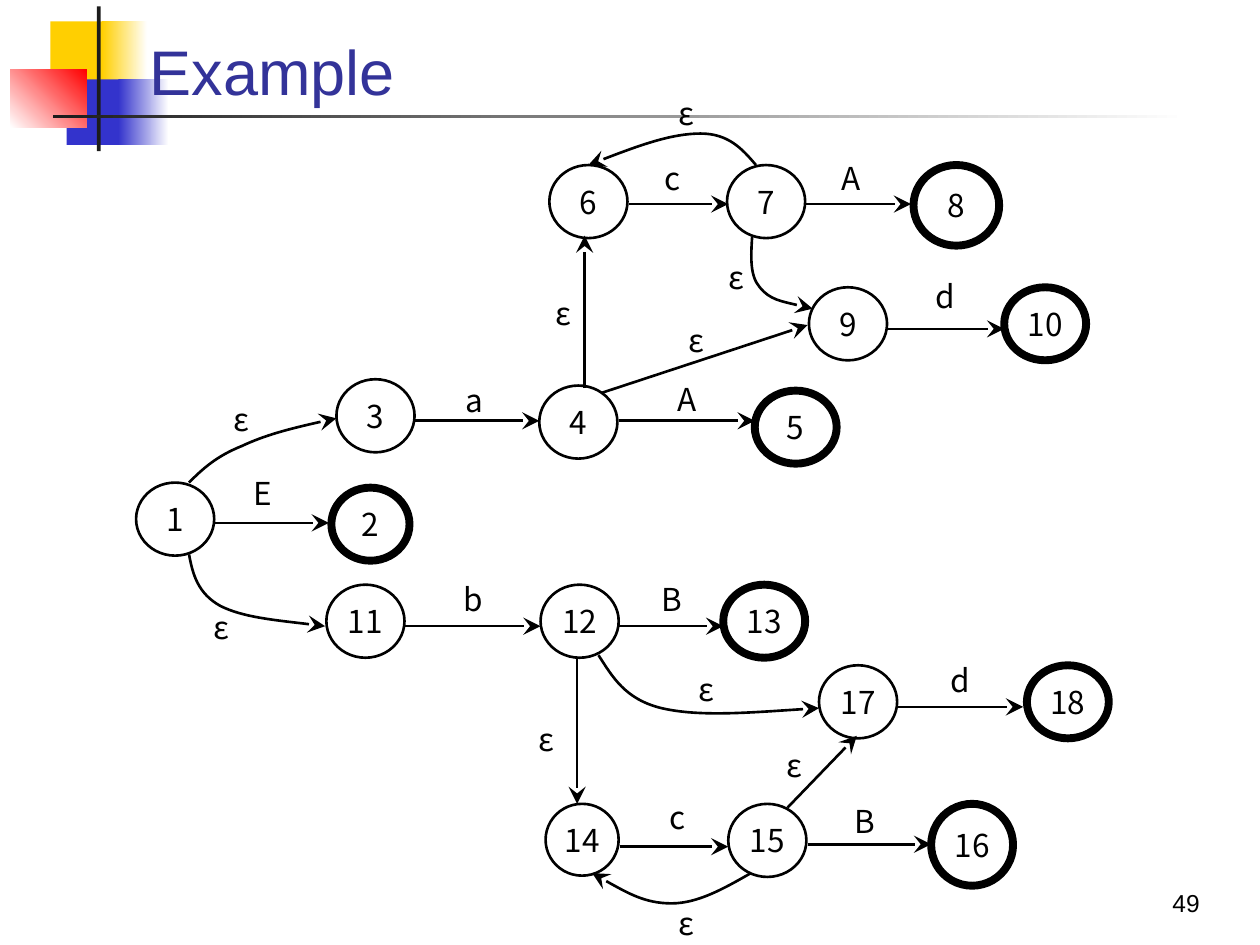
from pptx import Presentation
from pptx.dml.color import RGBColor
from pptx.enum import shapes, text
from pptx.oxml import parse_xml
from pptx.oxml.ns import nsdecls, qn
from pptx.util import Inches, Pt

THEME = {
    "yellow": "FFCF01", "blue": "3333CC", "red": "FF0000", "white": "FFFFFF",
    "dark": "1C1C1C", "title": "333399", "ink": "000000",
    "title_font": "Arial", "graph_font": "Noto Sans CJK SC",
    "title_size": 36, "graph_size": 18, "number_size": 14,
    "thin": 1.5, "thick": 4.5,
}

# Corner ornament: left, top, width, height, colours, gradient angle
ORNAMENT = [
    (0.4, 0.17, 0.48, 0.52, ["yellow"], 0),
    (0.81, 0.17, 0.36, 0.52, ["yellow", "white"], 0),
    (0.53, 0.63, 0.46, 0.52, ["blue"], 0),
    (0.94, 0.63, 0.4, 0.52, ["blue", "white"], 0),
    (0.08, 0.55, 0.61, 0.46, ["white", "red"], 45),
    (0.77, 0.05, 0.03, 1.15, ["dark"], 0),
    (0.42, 0.91, 9, 0.03, ["dark", "white"], 0),
]

# States: name, left, top
STATE_SIZE = (0.62, 0.58)
STATES = [
    ("6", 4.36, 1.31), ("7", 5.77, 1.31), ("9", 6.42, 2.28), ("4", 4.28, 3.06),
    ("3", 2.67, 3.01), ("1", 1.08, 3.83), ("11", 2.59, 4.64), ("12", 4.29, 4.64),
    ("14", 4.33, 6.38, 0.58, 0.57), ("15", 5.78, 6.38), ("17", 6.5, 5.28),
]
FINAL_SIZE = (0.65, 0.58)
FINAL_STATES = [
    ("8", 7.25, 1.31, 0.68, 0.64), ("10", 7.97, 2.28), ("5", 5.99, 3.1),
    ("2", 2.63, 3.87, 0.62, 0.58), ("13", 5.74, 4.64),
    ("16", 7.39, 6.38, 0.65, 0.65), ("18", 8.15, 5.28),
]

# Straight transitions: y, then the start and end x of each arrow in that row
ROWS = [
    (1.62, [(4.99, 5.78), (6.4, 7.23)]),
    (2.61, [(7.05, 7.97)]),
    (3.34, [(3.28, 4.28), (4.91, 5.99)]),
    (4.15, [(1.7, 2.61)]),
    (4.97, [(3.2, 4.29), (4.9, 5.74)]),
    (5.61, [(7.12, 8.12)]),
    (6.7, [(6.41, 7.39)]),
    (6.72, [(4.92, 5.78)]),
]
SLANTED = [
    (4.64, 3.08, 4.64, 1.87), (4.58, 5.23, 4.58, 6.38),
    (4.77, 3.12, 6.41, 2.58), (6.25, 6.41, 6.8, 5.84),
]

# Curved transitions: start point, then two cubic segments of three points each
CURVES = [
    [(1.5, 3.83), (1.61, 3.72), (1.72, 3.62), (1.92, 3.54),
     (2.11, 3.45), (2.39, 3.38), (2.67, 3.32)],
    [(1.5, 4.4), (1.53, 4.56), (1.57, 4.71), (1.75, 4.81),
     (1.93, 4.9), (2.26, 4.93), (2.58, 4.97)],
    [(4.75, 5.2), (4.86, 5.37), (4.96, 5.55), (5.25, 5.62),
     (5.55, 5.69), (6.02, 5.65), (6.5, 5.62)],
    [(5.96, 6.93), (5.75, 7.05), (5.54, 7.17), (5.33, 7.17),
     (5.12, 7.17), (4.91, 7.05), (4.7, 6.93)],
    [(5.97, 1.88), (5.96, 2.03), (5.95, 2.19), (6.03, 2.28),
     (6.11, 2.38), (6.28, 2.41), (6.45, 2.45)],
    [(6, 1.31), (5.89, 1.18), (5.78, 1.06), (5.56, 1.06),
     (5.33, 1.06), (5, 1.18), (4.67, 1.31)],
]

# Transition labels: symbol, then left, top, height of each box
LABEL_WIDTH = 0.67
LABELS = {
    "ε": [(1.42, 4.72, 0.51), (5.11, 0.57, 0.65), (1.58, 3.06, 0.53),
          (4.14, 2.16, 0.65), (5.51, 1.95, 0.49), (5.19, 2.5, 0.39),
          (5.97, 5.86, 0.42), (4, 5.54, 0.65), (5.11, 7.08, 0.49),
          (5.27, 5.23, 0.47)],
    "a": [(3.43, 2.98, 0.38)],
    "b": [(3.42, 4.53, 0.44)],
    "c": [(5, 1.18, 0.46), (5.04, 6.25, 0.47)],
    "d": [(7.29, 5.16, 0.47), (7.17, 2.11, 0.47)],
    "A": [(5.12, 2.97, 0.39), (6.42, 1.18, 0.46)],
    "B": [(5, 4.53, 0.44), (6.53, 6.19, 0.65)],
    "E": [(1.75, 3.59, 0.65)],
}


def color(name):
    return RGBColor.from_string(THEME[name])


def inches(*values):
    return [Inches(value) for value in values]


def write(shape, words, kind, ink, align, anchor, wrap=True):
    frame = shape.text_frame
    frame.word_wrap = wrap
    frame.vertical_anchor = anchor
    para = frame.paragraphs[0]
    para.alignment = align
    span = para.add_run()
    span.text = words
    span.font.name = THEME["title_font" if kind != "graph" else "graph_font"]
    span.font.size = Pt(THEME[kind + "_size"])
    span.font.color.rgb = color(ink)
    return para


def write_symbol(shape, symbol):
    write(shape, symbol, "graph", "ink", text.PP_ALIGN.CENTER,
          text.MSO_ANCHOR.MIDDLE, wrap=False)


def add_ornament(page, left, top, width, height, colors, angle):
    block = page.shapes.add_shape(shapes.MSO_SHAPE.RECTANGLE,
                                  *inches(left, top, width, height))
    block.shadow.inherit = False
    block.line.fill.background()
    if len(colors) == 1:
        block.fill.solid()
        block.fill.fore_color.rgb = color(colors[0])
        return
    block.fill.gradient()
    block.fill.gradient_angle = angle
    for stop, name in zip(block.fill.gradient_stops, colors):
        stop.color.rgb = color(name)


def add_state(page, weight, name, left, top, width, height):
    state = page.shapes.add_shape(shapes.MSO_SHAPE.OVAL,
                                  *inches(left, top, width, height))
    state.shadow.inherit = False
    state.fill.background()
    state.line.color.rgb = color("ink")
    state.line.width = Pt(THEME[weight])
    frame = state.text_frame
    frame.margin_left = frame.margin_right = frame.margin_top = frame.margin_bottom = 0
    write_symbol(state, name)


def style_arrow(arrow):
    arrow.line.color.rgb = color("ink")
    arrow.line.width = Pt(THEME["thin"])
    arrow.line._get_or_add_ln().append(
        parse_xml(f'<a:tailEnd {nsdecls("a")} type="stealth" w="lg" len="lg"/>'))


def add_arrow(page, *ends):
    arrow = page.shapes.add_connector(shapes.MSO_CONNECTOR.STRAIGHT, *inches(*ends))
    style_arrow(arrow)
    arrow.element.spPr.append(parse_xml(f'<a:effectLst {nsdecls("a")}/>'))


def add_curve(page, points):
    start, *rest = [inches(*point) for point in points]
    builder = page.shapes.build_freeform(*start)
    builder.add_line_segments(rest, close=False)
    curve = builder.convert_to_shape()
    curve.shadow.inherit = False
    curve.fill.background()
    style_arrow(curve)
    # Turn every three line segments into one cubic segment
    segments = list(curve.element.iter(qn("a:lnTo")))
    for first in range(0, len(segments), 3):
        cubic = parse_xml(f'<a:cubicBezTo {nsdecls("a")}/>')
        segments[first].addprevious(cubic)
        for segment in segments[first:first + 3]:
            cubic.append(segment[0])
            segment.getparent().remove(segment)


def main():
    deck = Presentation()
    deck.slide_width, deck.slide_height = inches(10, 7.5)
    page = deck.slides.add_slide(deck.slide_layouts[5])

    # Ornament, with the title in front of it
    for block in ORNAMENT:
        add_ornament(page, *block)
    title = page.shapes.title
    title.left, title.top, title.width, title.height = inches(1.09, 0.23, 8.67, 0.68)
    title.element.getparent().append(title.element)
    title.text_frame.auto_size = text.MSO_AUTO_SIZE.NONE
    para = write(title, "Example", "title", "title", text.PP_ALIGN.LEFT,
                 text.MSO_ANCHOR.BOTTOM)
    para.line_spacing = 0.85

    # Page number
    number = page.shapes.add_textbox(*inches(7.54, 6.83, 2.08, 0.5))
    write(number, "49", "number", "ink", text.PP_ALIGN.RIGHT, text.MSO_ANCHOR.BOTTOM)

    # States
    for states, size, weight in ((STATES, STATE_SIZE, "thin"),
                                 (FINAL_STATES, FINAL_SIZE, "thick")):
        for name, left, top, *own_size in states:
            add_state(page, weight, name, left, top, *(own_size or size))

    # Transitions
    for y, spans in ROWS:
        for start, end in spans:
            add_arrow(page, start, y, end, y)
    for ends in SLANTED:
        add_arrow(page, *ends)
    for points in CURVES:
        add_curve(page, points)

    # Transition labels
    for symbol, places in LABELS.items():
        for left, top, height in places:
            box = page.shapes.add_textbox(*inches(left, top, LABEL_WIDTH, height))
            write_symbol(box, symbol)

    deck.save("out.pptx")


if __name__ == "__main__":
    main()
